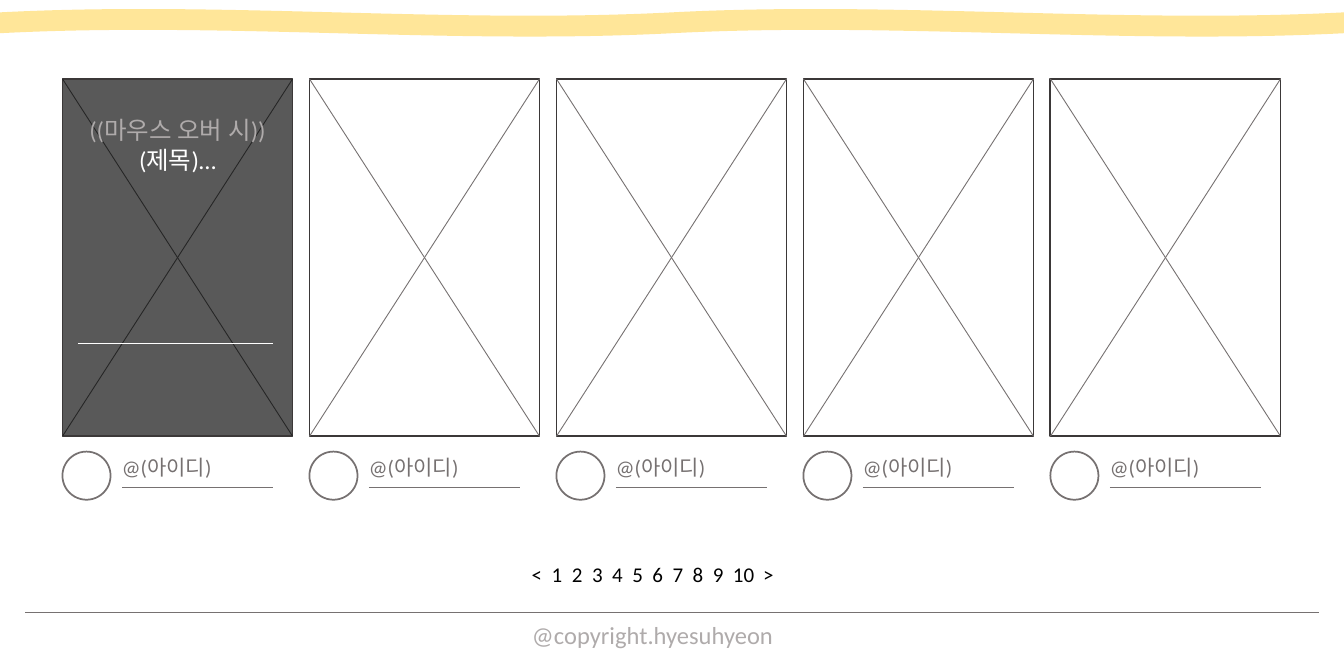
"""Build a gallery wireframe slide with five cards, user tags and a pager."""
from lxml import etree
from pptx import Presentation, util as u
from pptx.dml.color import RGBColor
from pptx.enum import shapes, text
from pptx.oxml.ns import qn

Cm, Pt = u.Cm, u.Pt
HUES = {"dark": "595959", "edge": "3B3838", "gray": "767171", "pale": "AFABAB",
        "ink": "262626", "sand": "FFE699", "white": "FFFFFF", "black": "000000"}
RGB = {key: RGBColor.from_string(hue) for key, hue in HUES.items()}
KIND = shapes.MSO_SHAPE
LEFT, CENTER = text.PP_ALIGN.LEFT, text.PP_ALIGN.CENTER

deck = Presentation()
deck.slide_width, deck.slide_height = Cm(27.1), Cm(13.54)
slide = deck.slides.add_slide(deck.slide_layouts[6])

top, wide, tall, step = 1.59, 4.64, 7.2, 4.98
base = top + tall
forms = [(KIND.DOUBLE_WAVE, 0, 0.18, 27.1, 0.56, "sand", None)]
lines = [(0.51, 12.34, 26.59, 12.34, "gray")]
labels = [(9.73, 12.37, 6.86, 0.86, CENTER, 14, [("@copyright.hyesuhyeon", "pale")])]

for i in range(5):
    x = 1.26 + i * step
    fill, cross = ("dark", "ink") if i == 0 else (None, "gray")
    forms += [(KIND.RECTANGLE, x, top, wide, tall, fill, "edge"),
              (KIND.OVAL, x, 9.1, 0.97, 0.97, None, "gray")]
    lines += [(x, top, x + wide, base, cross),
              (x + wide, top, x, base, cross),
              (x + 1.2, 9.83, x + 4.25, 9.83, "gray")]
    labels.append((x + 0.95, 9.04, 2.8, 0.76, LEFT, 12, [("@(아이디)", "gray")]))

lines.append((1.57, 6.91, 5.51, 6.91, "white"))
labels.append((1.26, 2.2, wide, 1.45, CENTER, 14,
               [("((마우스 오버 시))", "pale"), ("(제목)…", "white")]))
pages = ["<", *map(str, range(1, 11)), ">"]
labels.append((10.47, 11.18, 5.5, 0.76, LEFT, 12, [("\t".join(pages), "black")]))

for kind, x, y, w, h, fill, edge in forms:
    form = slide.shapes.add_shape(kind, Cm(x), Cm(y), Cm(w), Cm(h))
    form.shadow.inherit = False
    if fill:
        form.fill.solid()
        form.fill.fore_color.rgb = RGB[fill]
    else:
        form.fill.background()
    if edge:
        form.line.color.rgb = RGB[edge]
        form.line.width = Pt(1)
    else:
        form.line.fill.background()
    if kind == KIND.DOUBLE_WAVE:
        form.adjustments[0] = 0.125

for x, y, end, low, hue in lines:
    line = slide.shapes.add_connector(
        shapes.MSO_CONNECTOR.STRAIGHT, Cm(x), Cm(y), Cm(end), Cm(low))
    line.line.color.rgb = RGB[hue]
    line.line.width = Pt(0.5)
    etree.SubElement(line._element.spPr, qn("a:effectLst"))

for x, y, w, h, align, size, rows in labels:
    frame = slide.shapes.add_textbox(Cm(x), Cm(y), Cm(w), Cm(h)).text_frame
    frame.word_wrap = True
    for n, (words, hue) in enumerate(rows):
        para = frame.add_paragraph() if n else frame.paragraphs[0]
        para.alignment = align
        if "\t" in words:
            tabs = etree.SubElement(para._p.get_or_add_pPr(), qn("a:tabLst"))
            for stop in [*(4.06 * k / 10 for k in range(1, 11)), 4.67]:
                etree.SubElement(tabs, qn("a:tab"), pos=str(Cm(stop)), algn="l")
        run = para.add_run()
        run.text = words
        run.font.color.rgb = RGB[hue]
        for name, value in {"name": "Calibri", "size": Pt(size)}.items():
            setattr(run.font, name, value)

deck.save("out.pptx")
